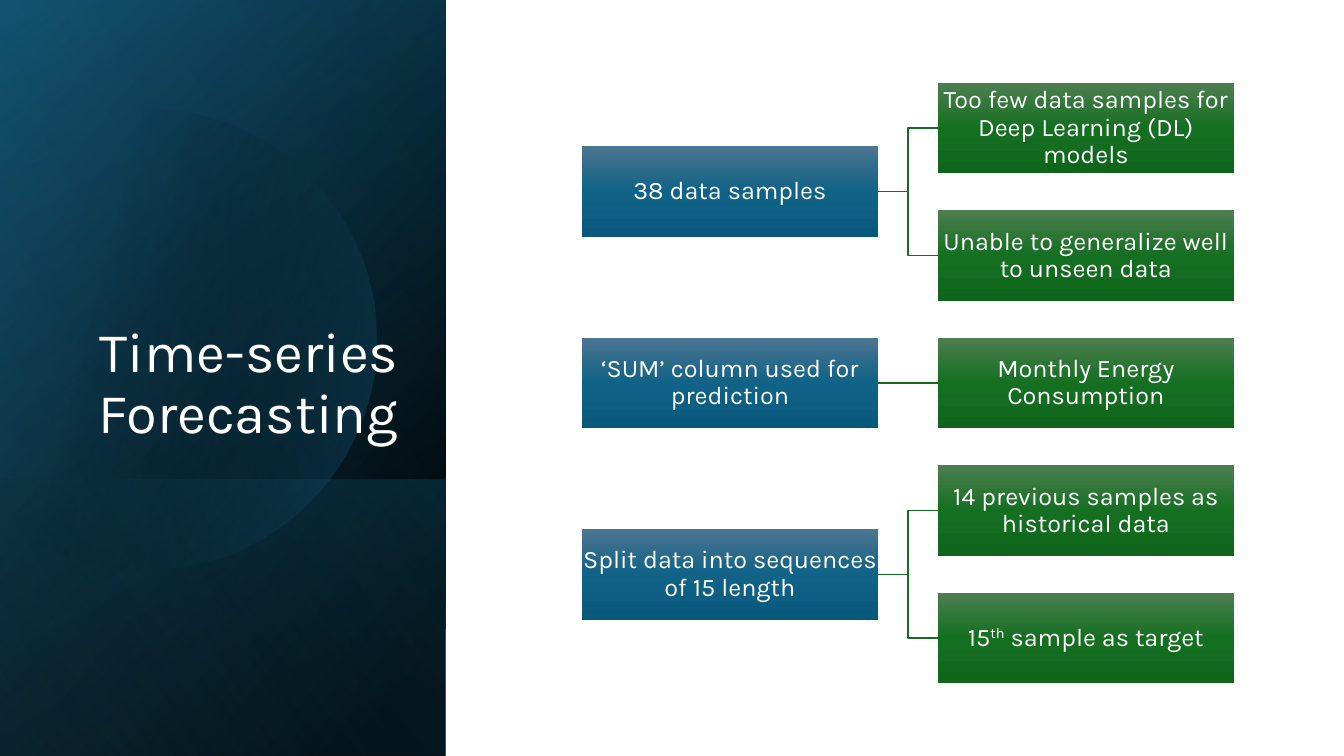
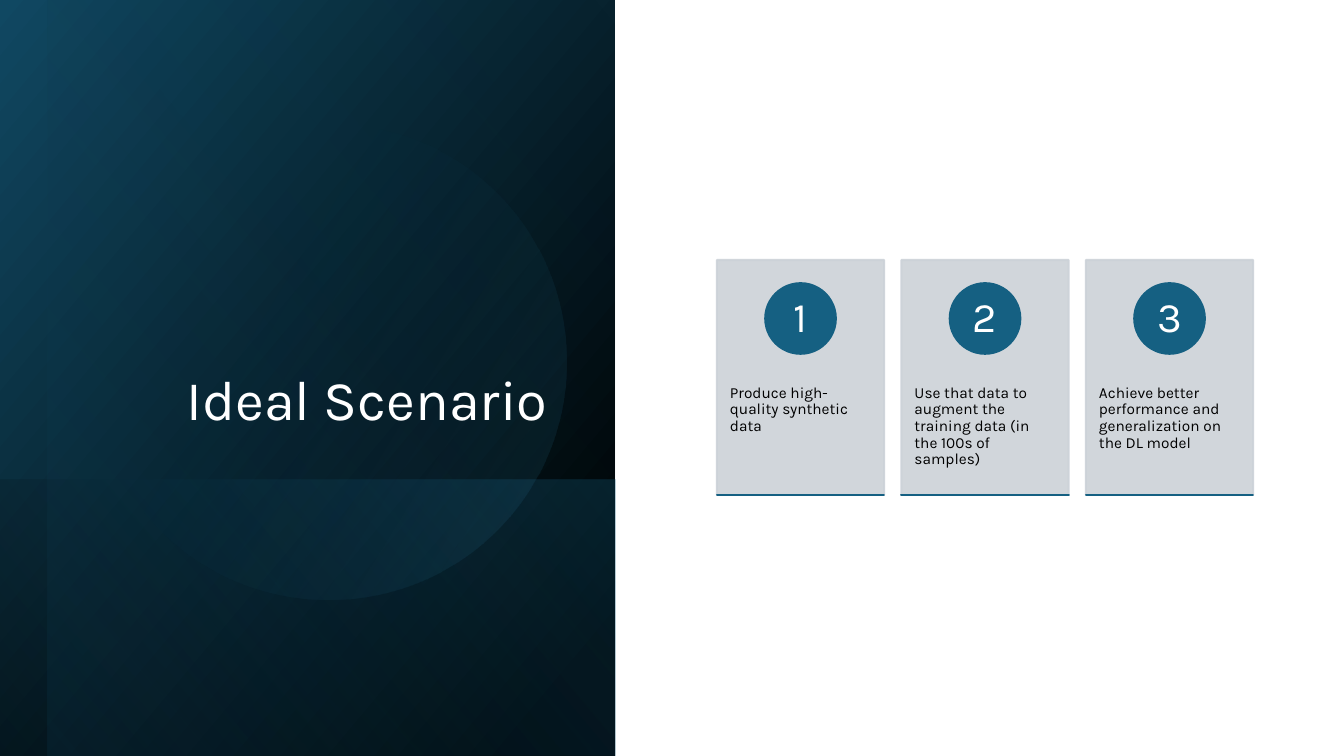
import math

import pptx
import pptx.dml.color
import pptx.enum.shapes
import pptx.enum.text
import pptx.oxml
import pptx.oxml.ns
import pptx.util

RGB = pptx.dml.color.RGBColor
SHAPE = pptx.enum.shapes.MSO_SHAPE
CONNECTOR = pptx.enum.shapes.MSO_CONNECTOR
ALIGN = pptx.enum.text.PP_ALIGN
ANCHOR = pptx.enum.text.MSO_ANCHOR
Inches = pptx.util.Inches
Pt = pptx.util.Pt
qn = pptx.oxml.ns.qn
NS = pptx.oxml.ns.nsdecls("a")

WIDTH, HEIGHT = 13.33, 7.5
FONT = "Karla"
BLACK = RGB(0x00, 0x00, 0x00)
WHITE = RGB(0xFF, 0xFF, 0xFF)
NAVY = RGB(0x10, 0x48, 0x62)
BLUE = RGB(0x15, 0x60, 0x82)
SKY = RGB(0x46, 0xB1, 0xE1)
GREEN = RGB(0x19, 0x6B, 0x24)
GRAY = RGB(0xCC, 0xD2, 0xD8)

# Gradient stops: position, colour, opacity (all in percent)
BASE = [(8, BLACK, 100), (100, NAVY, 100)]
BAND = [(2, BLUE, 29), (100, BLACK, 30)]
BLUE_BOX = [(0, RGB(0x4C, 0x75, 0x91), 100), (50, RGB(0x10, 0x62, 0x87), 100),
            (100, RGB(0x09, 0x59, 0x7D), 100)]
GREEN_BOX = [(0, RGB(0x4D, 0x7E, 0x50), 100), (50, RGB(0x15, 0x6F, 0x21), 100),
             (100, RGB(0x0F, 0x66, 0x1B), 100)]
BAND_TOP = 4.76

TOPICS = [
    ("38 data samples", ["Too few data samples for Deep Learning (DL) models",
                         "Unable to generalize well to unseen data"]),
    ("‘SUM’ column used for prediction", ["Monthly Energy Consumption"]),
    ("Split data into sequences of 15 length",
     ["14 previous samples as historical data", "15^th^ sample as target"]),
]
STEPS = [
    "Produce high-quality synthetic data",
    "Use that data to augment the training data (in the 100s of samples)",
    "Achieve better performance and generalization on the DL model",
]


def set_gradient(shape, stops, angle):
    """Fill with a linear gradient; the angle runs clockwise in degrees."""
    shape.fill.gradient()
    grad = shape.element.spPr.find(qn("a:gradFill"))
    for child in list(grad):
        grad.remove(child)
    gs = "".join(
        f'<a:gs pos="{pos * 1000}"><a:srgbClr val="{color}">'
        f'<a:alpha val="{alpha * 1000}"/></a:srgbClr></a:gs>'
        for pos, color, alpha in stops)
    grad.append(pptx.oxml.parse_xml(f"<a:gsLst {NS}>{gs}</a:gsLst>"))
    grad.append(pptx.oxml.parse_xml(f'<a:lin {NS} ang="{angle * 60000}" scaled="0"/>'))


def add_shape(s, kind, x, y, w, h, color=None):
    """Add a shape, filled and outlined in the colour if one is given."""
    shape = s.shapes.add_shape(kind, *map(Inches, (x, y, w, h)))
    shape.shadow.inherit = False
    if color is None:
        shape.line.fill.background()
    else:
        shape.fill.solid()
        shape.fill.fore_color.rgb = color
        shape.line.color.rgb = color
        shape.line.width = Pt(1.5)
    return shape


def set_text(shape, text, size, color, align, anchor, insets):
    """Write one paragraph; text between ^ marks is raised."""
    tf = shape.text_frame
    tf.word_wrap = True
    tf.auto_size = pptx.enum.text.MSO_AUTO_SIZE.NONE
    tf.vertical_anchor = anchor
    tf.margin_left = tf.margin_right = Inches(insets[0])
    tf.margin_top, tf.margin_bottom = map(Inches, insets[1:])
    p = tf.paragraphs[0]
    p.alignment = align
    p.line_spacing = 0.9
    for i, part in enumerate(text.split("^")):
        r = p.add_run()
        r.text = part
        r.font.name = FONT
        r.font.size = Pt(size)
        r.font.color.rgb = color
        if i % 2:
            r.font._element.set("baseline", "30000")


def add_layer(s, x, y, w, h, stops, angle):
    """Cover a region with a turned, mirrored gradient rectangle."""
    layer = add_shape(s, SHAPE.RECTANGLE, x + (w - h) / 2, y + (h - w) / 2, h, w)
    layer.element.spPr.xfrm.set("flipH", "1")
    layer.rotation = 90
    set_gradient(layer, stops, angle)


def add_cut_disc(s, cx, cy, radius, stops, angle):
    """Disc cut off at the left edge of the slide, drawn as four curves."""
    cut = math.acos(-cx / radius)
    angles = [-cut, -math.pi / 2, 0, math.pi / 2, cut]

    def locate(a, pull=0):
        """Point on the rim, moved along the tangent by a share of the radius."""
        return (Inches(cx + radius * (math.cos(a) - pull * math.sin(a))),
                Inches(cy + radius * (math.sin(a) + pull * math.cos(a))))

    points = [locate(a) for a in angles]
    builder = s.shapes.build_freeform(*points[0])
    builder.add_line_segments(points[1:], close=True)
    disc = builder.convert_to_shape()
    disc.shadow.inherit = False
    disc.line.fill.background()
    set_gradient(disc, stops, angle)

    segments = list(disc.element.spPr.iter(qn("a:lnTo")))
    for segment, a, b in zip(segments, angles, angles[1:]):
        pull = 4 / 3 * math.tan((b - a) / 4)
        pts = "".join(f'<a:pt x="{x - disc.left}" y="{y - disc.top}"/>'
                      for x, y in (locate(a, pull), locate(b, -pull), locate(b)))
        segment.getparent().replace(segment, pptx.oxml.parse_xml(
            f"<a:cubicBezTo {NS}>{pts}</a:cubicBezTo>"))


def add_title(s, text, x, y, w, h):
    title = s.shapes.title
    title.left, title.top, title.width, title.height = map(Inches, (x, y, w, h))
    set_text(title, text, 40, WHITE, ALIGN.RIGHT, ANCHOR.BOTTOM, (0.1, 0.05, 0.05))
    title.element.getparent().append(title.element)  # bring in front of the panel


def add_forecast_panel(s, width):
    panel = (0, 0, width, HEIGHT)
    add_layer(s, *panel, BASE, 50)
    add_layer(s, *panel, [(0, BLACK, 0), (99, BLUE, 46)], 30)
    add_layer(s, 0, BAND_TOP, width, HEIGHT - BAND_TOP, BAND, 130)
    add_cut_disc(s, 1.44, 3.37, 2.29, [(29, BLACK, 0), (100, BLUE, 43)], 14)
    add_layer(s, *panel, [(0, BLACK, 0), (99, SKY, 11)], 120)
    add_title(s, "Time-series Forecasting", 0.64, 1.85, 3.41, 2.62)


def add_scenario_panel(s, width):
    side = 0.47
    add_layer(s, 0, 0, width, HEIGHT, BASE, 50)
    add_layer(s, 0, BAND_TOP, width, HEIGHT - BAND_TOP, BAND, 130)
    add_layer(s, side, 0, width - side, HEIGHT, [(0, BLACK, 0), (99, BLUE, 11)], 130)
    disc = add_shape(s, SHAPE.OVAL, 0.9, 1.23, 4.72, 4.72)
    disc.rotation = 101.6
    set_gradient(disc, [(39, BLUE, 0), (100, SKY, 15)], 290)
    add_title(s, "Ideal Scenario", 0.9, 0.64, 4.63, 3.7)


def join_boxes(s, parent, child):
    line = s.shapes.add_connector(CONNECTOR.ELBOW, 0, 0, 0, 0)
    line.begin_connect(parent, 3)
    line.end_connect(child, 1)
    line.line.color.rgb = GREEN
    line.line.width = Pt(1)
    line.element.spPr.append(pptx.oxml.parse_xml(f"<a:effectLst {NS}/>"))


def add_tree(s, x, y, w, h):
    """Topics on the left, each centred on its details on the right."""
    box_w, box_h = 2.94, 0.9
    rows = sum(len(details) for _, details in TOPICS)
    pitch = (h - box_h) / (rows - 1)

    def add_box(left, row, text, stops):
        box = add_shape(s, SHAPE.RECTANGLE, left, y + row * pitch, box_w, box_h)
        set_gradient(box, stops, 90)
        set_text(box, text, 18, WHITE, ALIGN.CENTER, ANCHOR.MIDDLE, (0.01, 0.01, 0.01))
        return box

    first = 0
    for topic, details in TOPICS:
        parent = add_box(x, first + (len(details) - 1) / 2, topic, BLUE_BOX)
        for row, detail in enumerate(details, first):
            join_boxes(s, parent, add_box(x + w - box_w, row, detail, GREEN_BOX))
        first += len(details)


def add_step_card(s, number, text, x, y, w, h):
    card = add_shape(s, SHAPE.RECTANGLE, x, y, w, h, GRAY)
    for color in card.element.spPr.iter(qn("a:srgbClr")):
        color.append(pptx.oxml.parse_xml(f'<a:alpha {NS} val="90000"/>'))
    set_text(card, text, 11, BLACK, ALIGN.LEFT, ANCHOR.TOP, (0.13, 1.24, 0))

    size = 0.7
    badge = add_shape(s, SHAPE.OVAL, x + (w - size) / 2, y + 0.23, size, size, BLUE)
    set_text(badge, str(number), 30, WHITE, ALIGN.CENTER, ANCHOR.MIDDLE, (0, 0, 0))
    add_shape(s, SHAPE.RECTANGLE, x, y + h, w, 0, BLUE)


def add_step_cards(s, x, y, w, h):
    gap = 0.17
    card_w = (w - gap * (len(STEPS) - 1)) / len(STEPS)
    for i, text in enumerate(STEPS):
        add_step_card(s, i + 1, text, x + i * (card_w + gap), y, card_w, h)


def main():
    prs = pptx.Presentation()
    prs.slide_width, prs.slide_height = Inches(WIDTH), Inches(HEIGHT)
    title_only = prs.slide_layouts[5]

    s = prs.slides.add_slide(title_only)
    add_forecast_panel(s, 4.42)
    add_tree(s, 5.77, 0.82, 6.47, 5.96)

    s = prs.slides.add_slide(title_only)
    add_scenario_panel(s, 6.1)
    add_step_cards(s, 7.11, 2.58, 5.32, 2.33)

    prs.save("out.pptx")


if __name__ == "__main__":
    main()
